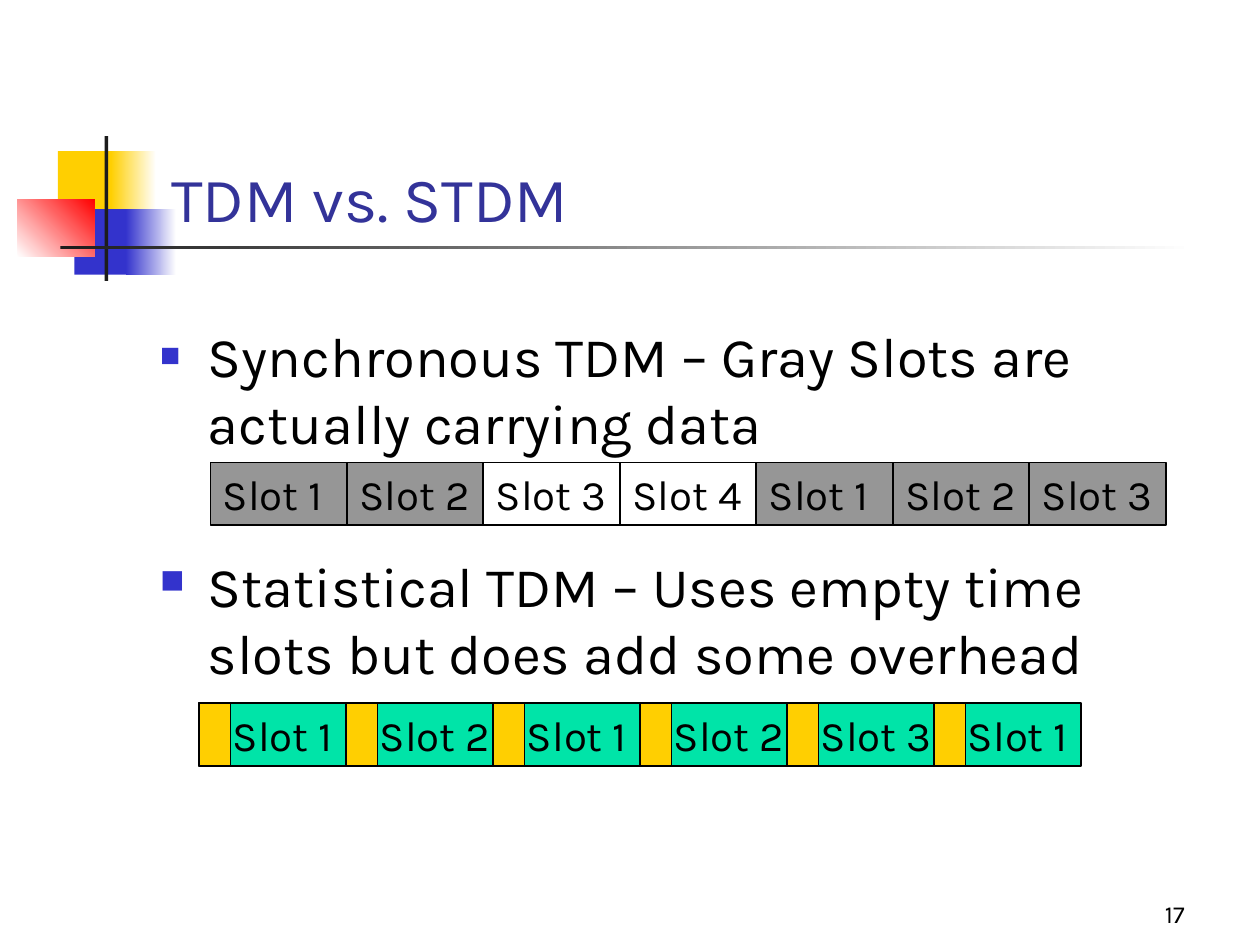
"""Build the slide that compares synchronous and statistical TDM."""
from typing import NamedTuple, Optional

from lxml import etree
from pptx import Presentation
from pptx.dml.color import RGBColor
from pptx.enum.shapes import MSO_CONNECTOR, MSO_SHAPE
from pptx.enum.text import MSO_ANCHOR, MSO_AUTO_SIZE, PP_ALIGN
from pptx.oxml.ns import qn
from pptx.util import Inches, Pt

RECTANGLE = MSO_SHAPE.RECTANGLE
STRAIGHT = MSO_CONNECTOR.STRAIGHT
TOP, BOTTOM = MSO_ANCHOR.TOP, MSO_ANCHOR.BOTTOM
FIXED, GROW = MSO_AUTO_SIZE.NONE, MSO_AUTO_SIZE.SHAPE_TO_FIT_TEXT
LEFT, RIGHT = PP_ALIGN.LEFT, PP_ALIGN.RIGHT

BLACK = RGBColor(0x00, 0x00, 0x00)
WHITE = RGBColor(0xFF, 0xFF, 0xFF)
CHARCOAL = RGBColor(0x1C, 0x1C, 0x1C)
GRAY = RGBColor(0x96, 0x96, 0x96)
YELLOW = RGBColor(0xFF, 0xCF, 0x01)
BLUE = RGBColor(0x33, 0x33, 0xCC)
RED = RGBColor(0xFF, 0x00, 0x00)
GREEN = RGBColor(0x00, 0xE4, 0xA8)
NAVY = RGBColor(0x33, 0x33, 0x99)

FONT = "Karla"
SLOT_HEIGHT = 0.5
SLOT_WIDTH = 6.5 / 6
SLOT_LEFT, SLOT_TOP = 1.67, 3.67
FRAME_WIDTH = 7 / 6
FRAME_LEFT, FRAME_TOP = 1.58, 5.58
HEADER_WIDTH = 0.25
LABEL_OFFSET = 0.17


class Box(NamedTuple):
    left: float
    top: float
    width: float
    height: float

    def lengths(self) -> list:
        return [Inches(value) for value in self]


class Ornament(NamedTuple):
    box: Box
    start: RGBColor
    end: Optional[RGBColor] = None
    angle: int = 0


class Slot(NamedTuple):
    label: str
    fill: Optional[RGBColor]


ORNAMENTS = [
    Ornament(Box(0.46, 1.2, 0.48, 0.52), YELLOW),
    Ornament(Box(0.88, 1.2, 0.36, 0.52), YELLOW, WHITE),
    Ornament(Box(0.59, 1.66, 0.46, 0.52), BLUE),
    Ornament(Box(1, 1.66, 0.4, 0.52), BLUE, WHITE),
    Ornament(Box(0.14, 1.58, 0.61, 0.46), WHITE, RED, 45),
    Ornament(Box(0.83, 1.08, 0.03, 1.15), CHARCOAL),
    Ornament(Box(0.48, 1.95, 9, 0.03), CHARCOAL, WHITE),
]
SYNCHRONOUS_SLOTS = [
    Slot("Slot 1", GRAY), Slot("Slot 2", GRAY), Slot("Slot 3", None),
    Slot("Slot 4", None), Slot("Slot 1", GRAY), Slot("Slot 2", GRAY),
    Slot("Slot 3", GRAY),
]
STATISTICAL_LABELS = ["Slot 1", "Slot 2", "Slot 1", "Slot 2", "Slot 3", "Slot 1"]


def apply_format(target, values: dict) -> None:
    for name, value in values.items():
        setattr(target, name, value)


def write_text(shape, text: str, size: int, color=BLACK, align=LEFT,
               anchor=TOP, fit=FIXED, before: int = 0):
    frame = shape.text_frame
    frame.text = text
    apply_format(frame, {"word_wrap": True, "auto_size": fit,
                         "vertical_anchor": anchor})
    paragraph = frame.paragraphs[0]
    apply_format(paragraph, {"alignment": align, "space_before": Pt(before)})
    font = paragraph.runs[0].font
    apply_format(font, {"name": FONT, "size": Pt(size)})
    font.color.rgb = color
    return paragraph


def write_bullet(shape, text: str) -> None:
    properties = write_text(shape, text, 32, before=8)._p.get_or_add_pPr()
    properties.set("marL", str(Inches(0.38)))
    properties.set("indent", str(-Inches(0.38)))
    bullet_color = etree.SubElement(properties, qn("a:buClr"))
    etree.SubElement(bullet_color, qn("a:srgbClr"), val=str(BLUE))
    etree.SubElement(properties, qn("a:buSzPct"), val="60000")
    etree.SubElement(properties, qn("a:buChar"), char="■")


def add_rectangle(shapes, box: Box, fill: Optional[RGBColor],
                  line_width: float = 0):
    rectangle = shapes.add_shape(RECTANGLE, *box.lengths())
    rectangle.shadow.inherit = False
    if fill is None:
        rectangle.fill.background()
    else:
        rectangle.fill.solid()
        rectangle.fill.fore_color.rgb = fill
    if line_width:
        rectangle.line.color.rgb = BLACK
        rectangle.line.width = Pt(line_width)
    else:
        rectangle.line.fill.background()
    return rectangle


def add_ornament(shapes, ornament: Ornament) -> None:
    fill = add_rectangle(shapes, ornament.box, ornament.start).fill
    if ornament.end is not None:
        fill.gradient()
        fill.gradient_angle = ornament.angle
        for stop, color in zip(fill.gradient_stops, (ornament.start, ornament.end)):
            stop.color.rgb = color


def add_divider(shapes, x: float, top: float, height: float) -> None:
    divider = shapes.add_connector(STRAIGHT, Inches(x), Inches(top),
                                   Inches(x), Inches(top + height))
    divider.line.color.rgb = BLACK
    divider.line.width = Pt(0.75)
    etree.SubElement(divider._element.spPr, qn("a:effectLst"))


def add_slot(shapes, index: int, slot: Slot) -> None:
    box = Box(SLOT_LEFT + index * SLOT_WIDTH, SLOT_TOP, SLOT_WIDTH, SLOT_HEIGHT)
    write_text(add_rectangle(shapes, box, slot.fill, 1), slot.label, 24,
               fit=GROW, before=15)


def add_frame(shapes, left: float, label: str) -> None:
    group = shapes.add_group_shape().shapes
    add_rectangle(group, Box(left, FRAME_TOP, FRAME_WIDTH, SLOT_HEIGHT), GREEN, 0.75)
    add_divider(group, left + HEADER_WIDTH, FRAME_TOP, SLOT_HEIGHT)
    label_box = Box(left + LABEL_OFFSET, FRAME_TOP, SLOT_WIDTH, SLOT_HEIGHT)
    write_text(group.add_textbox(*label_box.lengths()), label, 24,
               fit=GROW, before=15)


def place(shape, box: Box) -> None:
    apply_format(shape, dict(zip(("left", "top", "width", "height"), box.lengths())))


def main() -> None:
    deck = Presentation()
    apply_format(deck, {"slide_width": Inches(10), "slide_height": Inches(7.5)})
    slide = deck.slides.add_slide(deck.slide_layouts[1])
    shapes = slide.shapes
    title, synchronous = slide.placeholders

    for ornament in ORNAMENTS:
        add_ornament(shapes, ornament)
    for placeholder in (title, synchronous):
        shapes._spTree.append(placeholder._element)

    page_number = shapes.add_textbox(*Box(7.42, 6.92, 2.08, 0.5).lengths())
    write_text(page_number, "17", 14, align=RIGHT, anchor=BOTTOM)
    place(title, Box(1.26, 0.67, 8.52, 1.25))
    write_text(title, "TDM vs. STDM", 36, NAVY, anchor=BOTTOM)

    place(synchronous, Box(1.17, 2.5, 8.5, 1.58))
    write_bullet(synchronous, "Synchronous TDM – Gray Slots are actually carrying data")
    for index, slot in enumerate(SYNCHRONOUS_SLOTS):
        add_slot(shapes, index, slot)

    statistical = shapes.add_textbox(*Box(1.17, 4.33, 8.5, 1.17).lengths())
    write_bullet(statistical,
                 "Statistical TDM – Uses empty time slots but does add some overhead")
    frame_lefts = [FRAME_LEFT + index * FRAME_WIDTH
                   for index in range(len(STATISTICAL_LABELS))]
    for left, label in zip(frame_lefts, STATISTICAL_LABELS):
        add_frame(shapes, left, label)
    for left in frame_lefts:
        add_rectangle(shapes, Box(left, FRAME_TOP, HEADER_WIDTH, SLOT_HEIGHT),
                      YELLOW, 0.75)

    deck.save("out.pptx")


if __name__ == "__main__":
    main()
